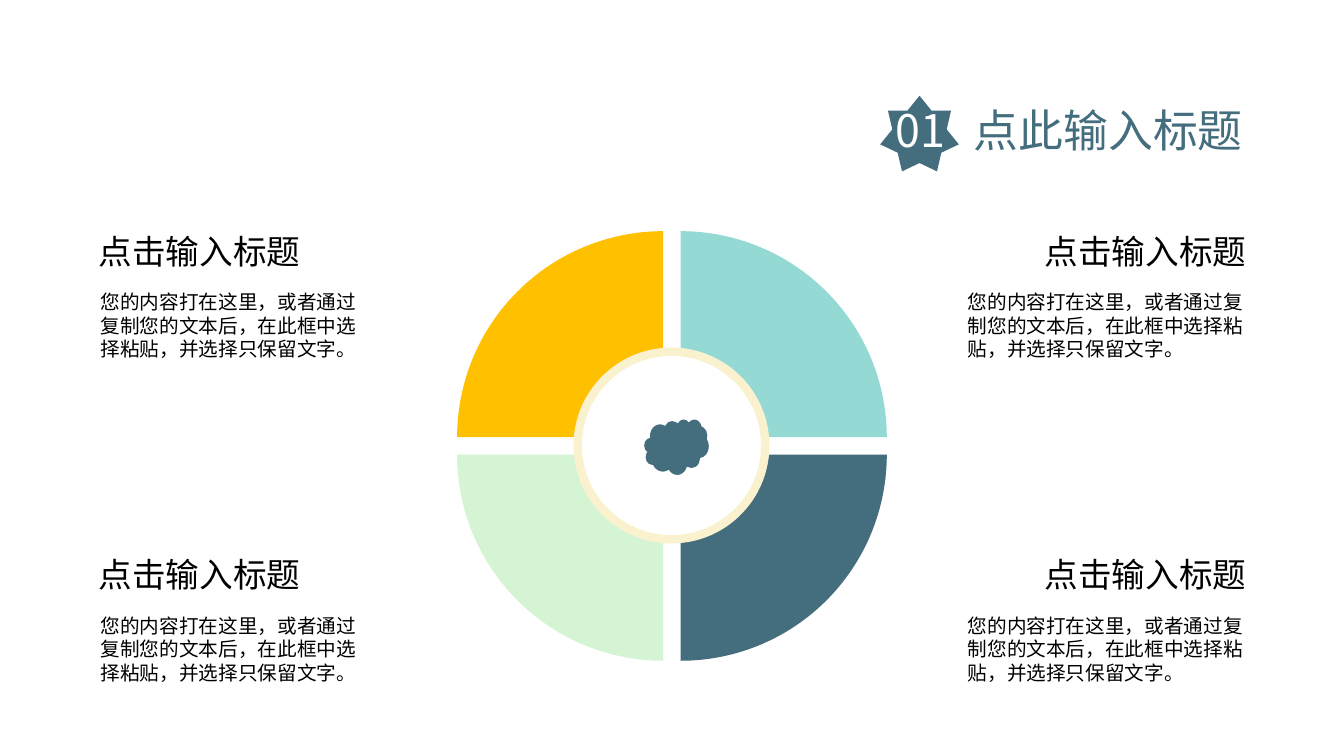
from lxml import etree
from pptx import Presentation
from pptx.chart.data import CategoryChartData
from pptx.dml.color import RGBColor
from pptx.enum.chart import XL_CHART_TYPE
from pptx.enum.shapes import MSO_SHAPE
from pptx.enum.text import MSO_AUTO_SIZE, PP_ALIGN
from pptx.oxml.ns import qn
from pptx.util import Inches, Pt

LEFT, RIGHT = PP_ALIGN.LEFT, PP_ALIGN.RIGHT
FONT = "Noto Sans CJK SC"
TEAL, WHITE, BLACK, CREAM = "446E7E", "FFFFFF", "000000", "FAF1CE"

SECTION = [("01\t", WHITE), ("点此输入标题", TEAL)]
HEADING = "点击输入标题"
BODY = "您的内容打在这里，或者通过复制您的文本后，在此框中选择粘贴，并选择只保留文字。"
# heading left, body left, body width, alignment of the heading
COLUMNS = [(0.88, 0.9, 2.8, LEFT), (10.18, 9.5, 2.95, RIGHT)]
ROW_TOPS = [2.24, 5.45]
BODY_DROP = 0.59
QUARTERS = [("1", 25, "94D9D4"), ("2", 25, TEAL), ("3", 25, "D5F4D3"), ("4", 25, "FFC000")]
EXPLOSION = 6


def rgb(color):
    return RGBColor.from_string(color)


def add_solid(slide, kind, box, fill, line=None, line_width=0):
    shape = slide.shapes.add_shape(kind, *map(Inches, box))
    shape.shadow.inherit = False
    shape.fill.solid()
    shape.fill.fore_color.rgb = rgb(fill)
    if line:
        shape.line.color.rgb = rgb(line)
        shape.line.width = Pt(line_width)
    else:
        shape.line.fill.background()


def add_text(slide, box, runs, size, align=LEFT):
    """Add a one-paragraph text box from (text, colour) runs and return the paragraph."""
    frame = slide.shapes.add_textbox(*map(Inches, box)).text_frame
    frame.word_wrap = True
    frame.auto_size = MSO_AUTO_SIZE.SHAPE_TO_FIT_TEXT
    paragraph = frame.paragraphs[0]
    paragraph.alignment = align
    paragraph.font.size = Pt(size)
    paragraph.font.name = FONT
    for text, color in runs:
        run = paragraph.add_run()
        run.text = text
        run.font.color.rgb = rgb(color)
        east_asian = etree.SubElement(run.font._element, qn("a:ea"))
        east_asian.set("typeface", FONT)
    return paragraph


def add_tab_stop(paragraph, position):
    stops = etree.Element(qn("a:tabLst"))
    etree.SubElement(stops, qn("a:tab"), pos=str(Inches(position)), algn="l")
    paragraph._p.pPr.find(qn("a:defRPr")).addprevious(stops)


def add_quarter_pie(slide, box):
    data = CategoryChartData()
    data.categories = [name for name, _, _ in QUARTERS]
    data.add_series("Series 1", [value for _, value, _ in QUARTERS])
    chart = slide.shapes.add_chart(XL_CHART_TYPE.PIE, *map(Inches, box), data).chart
    chart.has_legend = False
    chart.has_title = False
    chart.font.size = Pt(10)
    chart.font.name = FONT
    chart.font.color.rgb = rgb(BLACK)
    plot = chart.plots[0]
    plot.vary_by_categories = True
    series = plot.series[0]
    for index, (_, _, color) in enumerate(QUARTERS):
        fill = series.points[index].format.fill
        fill.solid()
        fill.fore_color.rgb = rgb(color)
    explosion = etree.Element(qn("c:explosion"), val=str(EXPLOSION))
    series._element.find(qn("c:dPt")).addprevious(explosion)
    for point in series._element.findall(qn("c:dPt")):
        point.find(qn("c:spPr")).addprevious(
            etree.Element(qn("c:explosion"), val=str(EXPLOSION)))


def main():
    deck = Presentation()
    deck.slide_width, deck.slide_height = Inches(13.33), Inches(7.5)
    slide = deck.slides.add_slide(deck.slide_layouts[6])

    add_solid(slide, MSO_SHAPE.STAR_7_POINT, (8.73, 0.95, 0.78, 0.75), TEAL)
    add_tab_stop(add_text(slide, (8.78, 0.97, 3.68, 0.64), SECTION, 32), 0.78)

    add_quarter_pie(slide, (4.33, 2.12, 4.67, 4.61))
    add_solid(slide, MSO_SHAPE.OVAL, (5.73, 3.49, 1.86, 1.86), WHITE, CREAM, 6)
    add_solid(slide, MSO_SHAPE.CLOUD, (6.39, 4.16, 0.64, 0.55), TEAL)

    for top in ROW_TOPS:
        for heading_left, body_left, body_width, align in COLUMNS:
            add_text(slide, (heading_left, top, 2.28, 0.5), [(HEADING, BLACK)], 24, align)
            add_text(slide, (body_left, top + BODY_DROP, body_width, 0.81), [(BODY, BLACK)], 14)

    deck.save("out.pptx")


if __name__ == "__main__":
    main()
